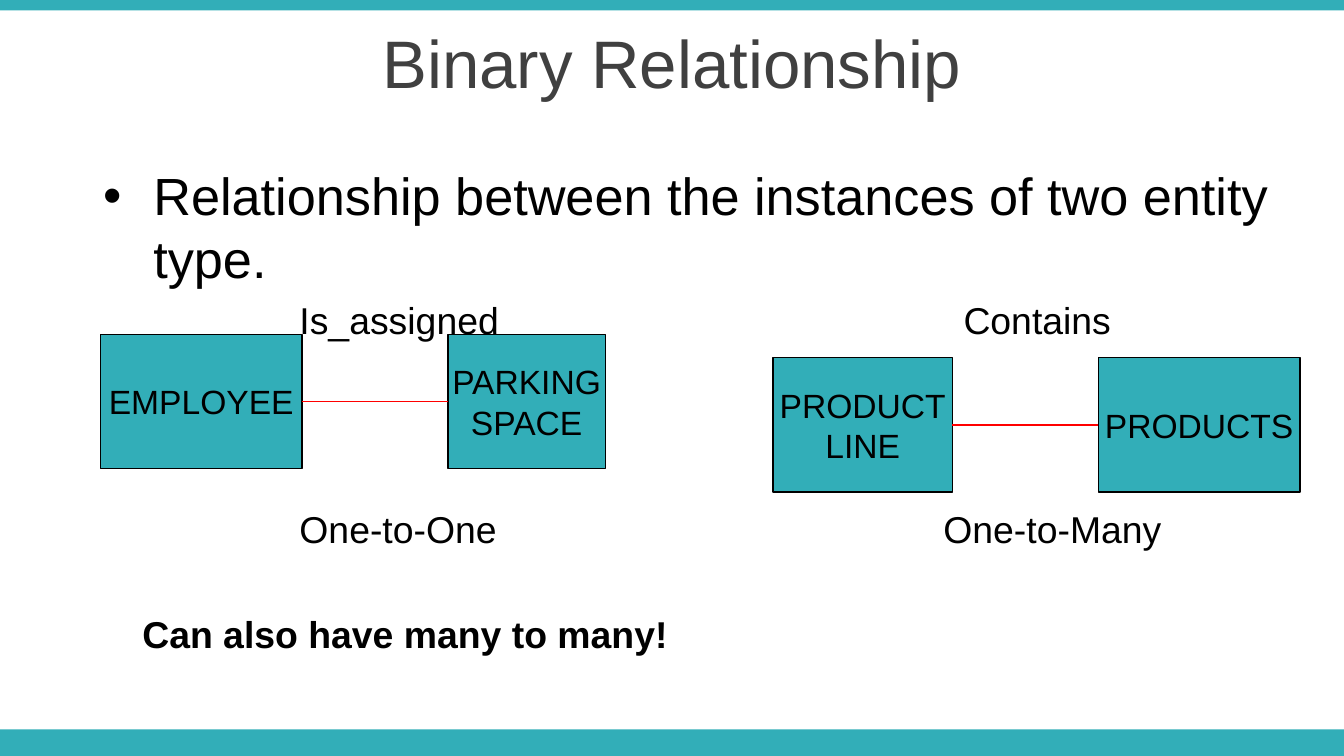
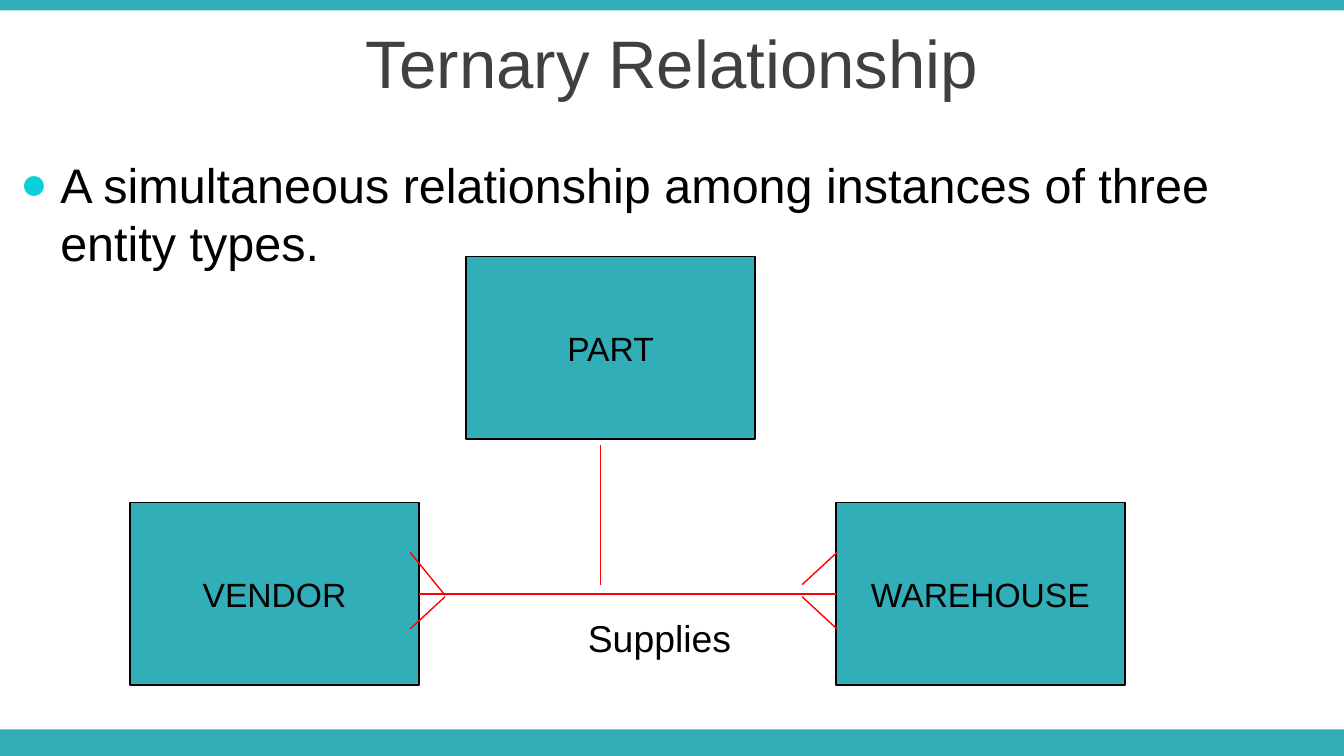
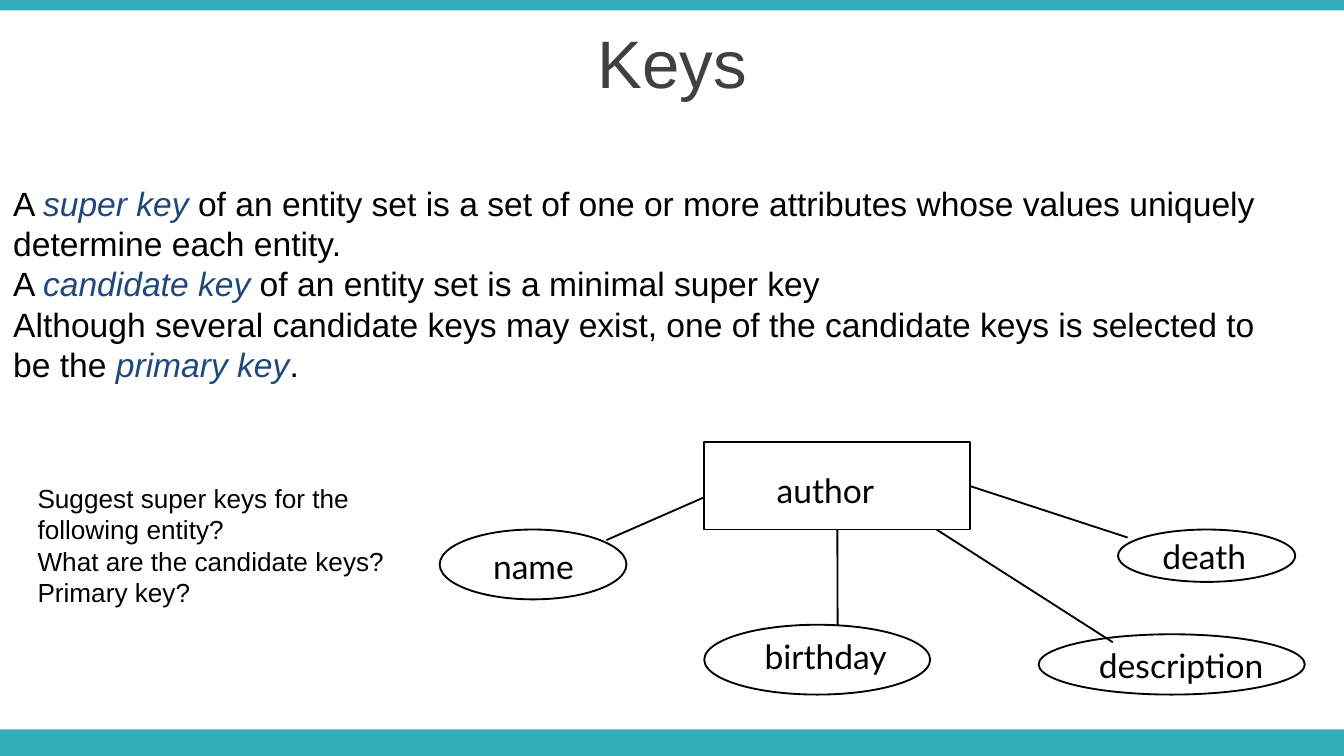
from lxml import etree
from pptx import Presentation
from pptx.dml.color import RGBColor
from pptx.enum.shapes import MSO_CONNECTOR, MSO_SHAPE
from pptx.enum.text import MSO_ANCHOR, PP_ALIGN
from pptx.oxml.ns import qn
from pptx.util import Cm, Pt

RECTANGLE = MSO_SHAPE.RECTANGLE
OVAL = MSO_SHAPE.OVAL
STRAIGHT = MSO_CONNECTOR.STRAIGHT
MIDDLE = MSO_ANCHOR.MIDDLE
TOP = MSO_ANCHOR.TOP
CENTER = PP_ALIGN.CENTER
LEFT = PP_ALIGN.LEFT

TEAL = "32AEB8"
BLACK = "000000"
RED = "FF0000"
TITLE_GREY = "404040"
TERM_BLUE = "1F497D"
BULLET_CYAN = "0BD0D9"
BODY_FONT = "Arial"
LABEL_FONT = "Lato"
SLIDE_WIDTH, SLIDE_HEIGHT = 25.4, 14.29
LEFT_SIDE, BOTTOM_SIDE, RIGHT_SIDE = 1, 2, 3


def color(value):
    return RGBColor.from_string(value)


def add_run(paragraph, text, size, font=BODY_FONT, ink=BLACK, bold=False, italic=False):
    run = paragraph.add_run()
    run.text = text
    run.font.name = font
    run.font.size = Pt(size)
    run.font.bold = bold
    run.font.italic = italic
    run.font.color.rgb = color(ink)


def write(frame, paragraphs, size, align=LEFT, anchor=TOP, wrap=True, **style):
    frame.word_wrap = wrap
    frame.vertical_anchor = anchor
    for index, runs in enumerate(paragraphs):
        paragraph = frame.paragraphs[0] if index == 0 else frame.add_paragraph()
        paragraph.alignment = align
        for text, changes in runs:
            add_run(paragraph, text, size, **{**style, **changes})


def add_text(slide, box, paragraphs, size, **style):
    text_box = slide.shapes.add_textbox(*map(Cm, box))
    write(text_box.text_frame, paragraphs, size, **style)
    return text_box


def add_label(slide, box, text, size, **style):
    return add_text(slide, box, [[(text, {})]], size, **style)


def add_bullet_text(slide, box, text, size, indent, mark, mark_color=None, mark_percent=None):
    text_box = add_label(slide, box, text, size)
    properties = text_box.text_frame.paragraphs[0]._p.get_or_add_pPr()
    properties.set("marL", str(Cm(indent)))
    properties.set("indent", str(-Cm(indent)))
    if mark_color:
        bullet_color = etree.SubElement(properties, qn("a:buClr"))
        etree.SubElement(bullet_color, qn("a:srgbClr"), val=mark_color)
    if mark_percent:
        etree.SubElement(properties, qn("a:buSzPct"), val=str(mark_percent * 1000))
    etree.SubElement(properties, qn("a:buFont"), typeface=BODY_FONT)
    etree.SubElement(properties, qn("a:buChar"), char=mark)


def add_shape(slide, kind, box, fill=None, line_width=None):
    shape = slide.shapes.add_shape(kind, *map(Cm, box))
    shape.shadow.inherit = False
    if fill:
        shape.fill.solid()
        shape.fill.fore_color.rgb = color(fill)
    else:
        shape.fill.background()
    if line_width:
        shape.line.color.rgb = color(BLACK)
        shape.line.width = Pt(line_width)
    else:
        shape.line.fill.background()
    return shape


def add_line(slide, start, end, ink, width):
    connector = slide.shapes.add_connector(STRAIGHT, *map(Cm, (*start, *end)))
    connector.line.color.rgb = color(ink)
    connector.line.width = Pt(width)
    etree.SubElement(connector._element.spPr, qn("a:effectLst"))
    return connector


def join_sides(slide, first, second):
    connector = add_line(slide, (0, 0), (0, 0), RED, 0.75)
    connector.begin_connect(first, RIGHT_SIDE)
    connector.end_connect(second, LEFT_SIDE)


def add_entity(slide, box, words):
    entity = add_shape(slide, RECTANGLE, box, TEAL, 0.75)
    write(entity.text_frame, [[(word, {})] for word in words], 18,
          align=CENTER, anchor=MIDDLE, wrap=False)
    return entity


def add_titled_slide(presentation, title):
    slide = presentation.slides.add_slide(presentation.slide_layouts[6])
    for top, height in ((13.79, 0.5), (0, 0.2)):
        add_shape(slide, RECTANGLE, (0, top, SLIDE_WIDTH, height), TEAL)
    add_label(slide, (0, 0.36, SLIDE_WIDTH, 1.6), title, 36,
              align=CENTER, anchor=MIDDLE, ink=TITLE_GREY)
    return slide


def add_binary_diagram(slide, left, top, drop, entities, verb, cardinality):
    gap, height = 2.76, 2.54
    (first_words, first_width), (second_words, second_width) = entities
    for (text, offset), down in ((verb, 0), (cardinality, 3.96)):
        add_label(slide, (left + offset, top + down, 5.2, 1.1), text, 20)
    first = add_entity(slide, (left, top + drop, first_width, height), first_words)
    second_left = left + first_width + gap
    second = add_entity(slide, (second_left, top + drop, second_width, height), second_words)
    join_sides(slide, first, second)


def add_ternary_diagram(slide, left, top):
    width, height = 5.46, 3.45
    places = {"VENDOR": (0, 4.65), "PART": (6.35, 0), "WAREHOUSE": (13.34, 4.65)}
    entities = {
        name: add_entity(slide, (left + x, top + y, width, height), [name])
        for name, (x, y) in places.items()
    }
    join_sides(slide, entities["VENDOR"], entities["WAREHOUSE"])
    part_link = ((8.89, 3.56), (8.89, 6.2))
    crow_feet = (
        ((12.7, 6.2), (13.36, 5.59)),
        ((12.7, 6.43), (13.36, 7.04)),
        ((5.29, 7.04), (5.95, 6.43)),
        ((5.29, 5.59), (5.95, 6.4)),
    )
    for (x1, y1), (x2, y2) in (part_link, *crow_feet):
        add_line(slide, (left + x1, top + y1), (left + x2, top + y2), RED, 0.75)
    add_label(slide, (left + 8.4, top + 6.66, 4, 1.1), "Supplies", 20)


def add_author_diagram(slide, left, top):
    nodes = (
        ("author", RECTANGLE, (5, 0, 5.03, 1.65), (6.12, 0.4)),
        ("name", OVAL, (0, 1.65, 3.53, 1.32), (0.76, 1.83)),
        ("birthday", OVAL, (5, 3.45, 4.27, 1.32), (5.89, 3.53)),
        ("death", OVAL, (12.82, 1.65, 3.35, 0.99), (13.41, 1.65)),
        ("description", OVAL, (11.32, 3.63, 5.03, 1.14), (12.21, 3.71)),
    )
    shapes = {}
    for name, kind, (x, y, width, height), (label_x, label_y) in nodes:
        shapes[name] = add_shape(slide, kind, (left + x, top + y, width, height), line_width=1)
        add_label(slide, (left + label_x, top + label_y, 3.68, 0.94), name, 18, font=LABEL_FONT)
    links = (
        ((5, 1.04), (3.15, 1.85)),
        ((9.39, 1.65), (12.72, 3.78)),
        ((10.03, 0.83), (13, 1.8)),
    )
    for (x1, y1), (x2, y2) in links:
        add_line(slide, (left + x1, top + y1), (left + x2, top + y2), BLACK, 1)
    birthday_link = add_line(slide, (left + 7.52, top + 1.65), (left + 7.52, top + 3.45), BLACK, 1)
    birthday_link.begin_connect(shapes["author"], BOTTOM_SIDE)


def add_key_definitions(slide, box):
    term = {"ink": TERM_BLUE, "italic": True}
    paragraphs = [
        [("A ", {}), ("super key", term),
         (" of an entity set is a set of one or more attributes whose values uniquely "
          "determine each entity.", {})],
        [("A ", {}), ("candidate key", term),
         (" of an entity set is a minimal super key", {})],
        [("Although several candidate keys may exist, one of the candidate keys is "
          "selected to be the ", {}), ("primary key", term), (".", {})],
    ]
    add_text(slide, box, paragraphs, 18)


def build_binary_slide(presentation):
    slide = add_titled_slide(presentation, "Binary Relationship")
    add_bullet_text(slide, (1.7, 2.97, 22.86, 2.6),
                    "Relationship between the instances of two entity type.", 28, 0.95, "•")
    add_binary_diagram(slide, 1.9, 5.49, 0.83,
                       ((["EMPLOYEE"], 3.81), (["PARKING", "SPACE"], 2.97)),
                       ("Is_assigned", 3.51), ("One-to-One", 3.51))
    add_binary_diagram(slide, 14.61, 5.49, 1.27,
                       ((["PRODUCT", "LINE"], 3.39), (["PRODUCTS"], 3.81)),
                       ("Contains", 3.35), ("One-to-Many", 2.97))
    add_label(slide, (2.44, 11.43, 12, 1.1), "Can also have many to many!", 20, bold=True)


def build_ternary_slide(presentation):
    slide = add_titled_slide(presentation, "Ternary Relationship")
    add_bullet_text(slide, (0.13, 2.8, 23.57, 2.4),
                    "A simultaneous relationship among instances of three entity types.",
                    26, 0.76, "●", BULLET_CYAN, 95)
    add_ternary_diagram(slide, 2.46, 4.85)


def build_keys_slide(presentation):
    slide = add_titled_slide(presentation, "Keys")
    add_key_definitions(slide, (0, 3.33, 24.41, 4.11))
    add_author_diagram(slide, 8.31, 8.36)
    questions = ("Suggest super keys for the following entity?",
                 "What are the candidate keys?", "Primary key?")
    add_text(slide, (0.46, 8.99, 7.37, 2.64), [[(question, {})] for question in questions], 14)


def main():
    presentation = Presentation()
    presentation.slide_width = Cm(SLIDE_WIDTH)
    presentation.slide_height = Cm(SLIDE_HEIGHT)
    build_binary_slide(presentation)
    build_ternary_slide(presentation)
    build_keys_slide(presentation)
    presentation.save("out.pptx")


if __name__ == "__main__":
    main()
